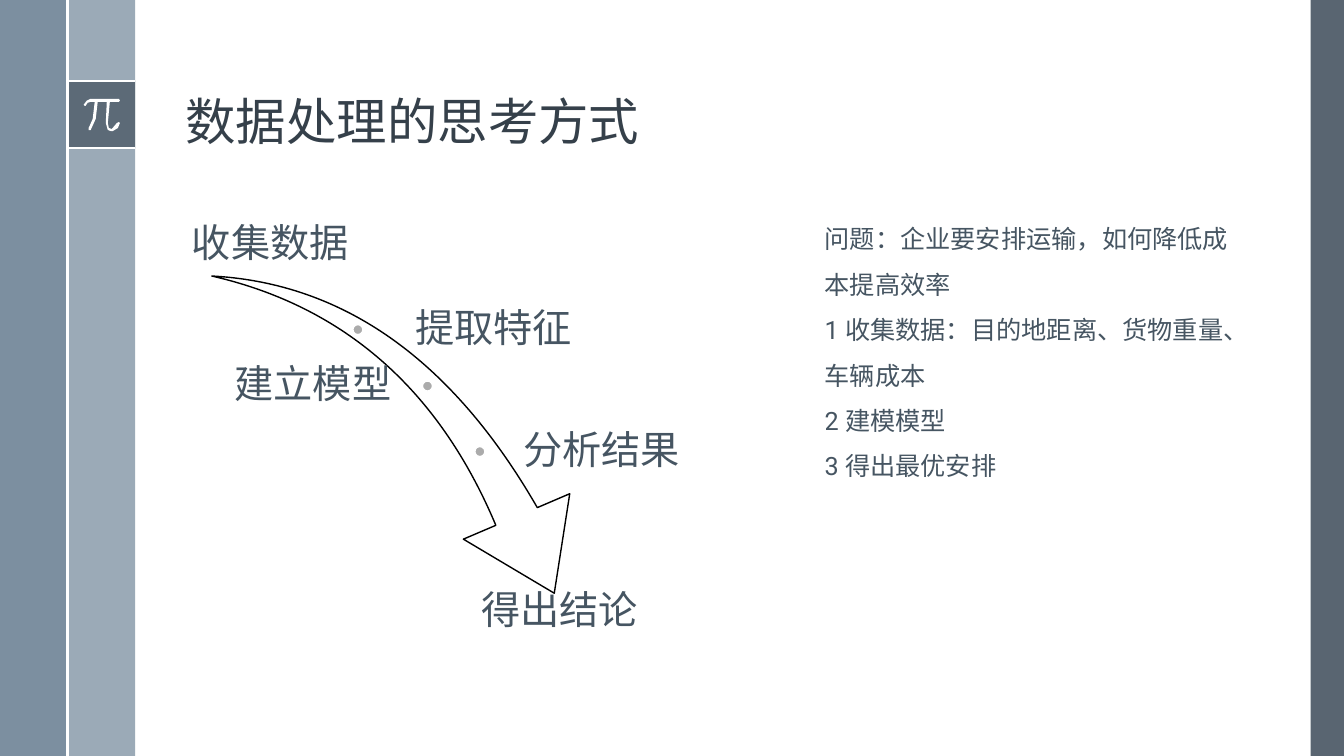
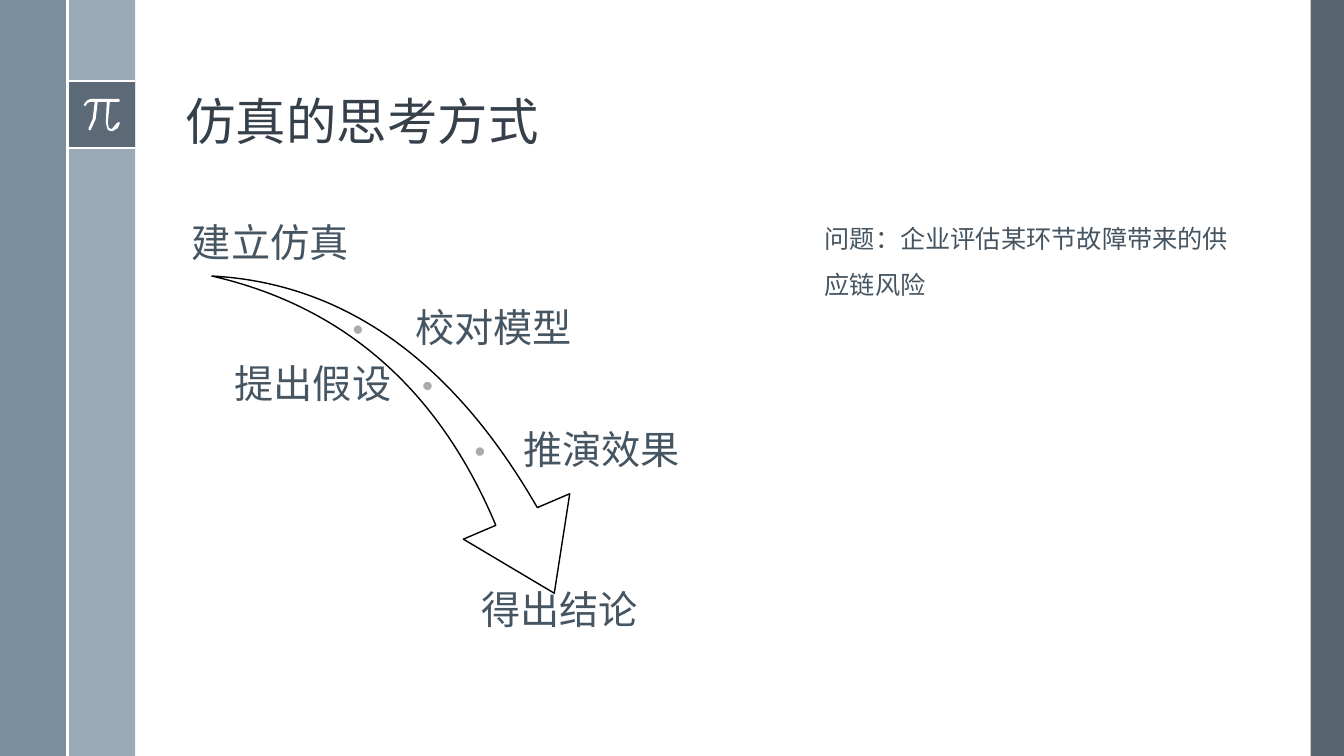
from lxml.etree import SubElement
from pptx import Presentation
from pptx.dml.color import RGBColor
from pptx.enum.lang import MSO_LANGUAGE_ID as Language
from pptx.enum.shapes import MSO_CONNECTOR as Connector, MSO_SHAPE as Shape
from pptx.enum.text import MSO_ANCHOR as Anchor, MSO_AUTO_SIZE as AutoSize, PP_ALIGN as Align
from pptx.oxml.ns import qn
from pptx.util import Inches, Pt

WHITE = RGBColor(0xFF, 0xFF, 0xFF)
BLACK = RGBColor(0x00, 0x00, 0x00)
SLATE = RGBColor(0x47, 0x55, 0x62)
STEEL = RGBColor(0x6A, 0x80, 0x93)
MIST = RGBColor(0x9B, 0xAA, 0xB7)
DOT_GRAY = RGBColor(0xAB, 0xAB, 0xAB)
TITLE_INK = RGBColor(0x35, 0x40, 0x4A)
TEXT_INK = RGBColor(0x46, 0x55, 0x62)
TITLE_FONT = "Noto Sans CJK SC"
TEXT_FONT = "Roboto"

BAND = 0.67
BADGE_TOP = 0.8
LABEL_INSET = 0.04
DOT_SIZE = 0.1
DOT_PLACES = [(3.5, 3.22), (4.19, 3.78), (4.71, 4.43)]
STEP_PLACES = [
    ((1.74, 1.94, 1.88, 0.74), Align.CENTER, Anchor.BOTTOM),
    ((4.08, 2.9, 2.74, 0.74), Align.LEFT, Anchor.MIDDLE),
    ((1.74, 3.46, 2.18, 0.74), Align.RIGHT, Anchor.MIDDLE),
    ((5.15, 4.11, 1.68, 0.74), Align.LEFT, Anchor.MIDDLE),
    ((4.28, 5.82, 2.54, 0.74), Align.CENTER, Anchor.TOP),
]
PI_OUTLINE = [
    (1.18, 0.98), (0.9, 0.98), (0.86, 1.0), (0.83, 1.04), (0.84, 1.05),
    (0.85, 1.05), (0.87, 1.02), (0.9, 1.01), (0.94, 1.01), (0.92, 1.18),
    (0.88, 1.27), (0.88, 1.29), (0.9, 1.29), (0.95, 1.18), (0.97, 1.01),
    (1.06, 1.01), (1.05, 1.22), (1.07, 1.29), (1.1, 1.3), (1.12, 1.3),
    (1.17, 1.27), (1.19, 1.22), (1.18, 1.21), (1.16, 1.22), (1.11, 1.28),
    (1.08, 1.27), (1.07, 1.22), (1.09, 1.01), (1.18, 1.01), (1.19, 1.0),
]


def emu_box(place):
    return [Inches(length) for length in place]


def write(frame, lines, size, color, font=TEXT_FONT, align=Align.LEFT,
          anchor=Anchor.TOP, spacing=0.9, inset=None, fit=AutoSize.NONE):
    frame.word_wrap = True
    frame.auto_size = fit
    frame.vertical_anchor = anchor
    if inset is not None:
        frame.margin_left = frame.margin_right = Inches(inset)
        frame.margin_top = frame.margin_bottom = Inches(inset)
    for index, line in enumerate(lines):
        paragraph = frame.add_paragraph() if index else frame.paragraphs[0]
        properties = paragraph._p.get_or_add_pPr()
        properties.set("marL", "0")
        properties.set("indent", "0")
        SubElement(properties, qn("a:buNone"))
        paragraph.alignment = align
        paragraph.line_spacing = spacing
        paragraph.space_before = Pt(0)
        run = paragraph.add_run()
        run.text = line
        run.font.size = Pt(size)
        run.font.color.rgb = color
        run.font.name = font
        run.font.language_id = Language.SIMPLIFIED_CHINESE
        SubElement(run.font._element, qn("a:ea"), typeface=font)


class Deck:
    def __init__(self):
        self.presentation = Presentation()
        self.presentation.slide_width = Inches(13.33)
        self.presentation.slide_height = Inches(7.5)
        self.layout = self.presentation.slide_layouts[1]
        self.slide = None

    def start_slide(self, title):
        first = self.slide is None
        self.slide = self.presentation.slides.add_slide(self.layout)
        if first:
            self.share_frame()
        heading = self.slide.shapes.title
        self.place(heading, (1.74, 0.19, 10.7, 1.36))
        write(heading.text_frame, [title], size=36, color=TITLE_INK,
              font=TITLE_FONT, anchor=Anchor.BOTTOM)

    def place(self, holder, place):
        holder.left, holder.top, holder.width, holder.height = emu_box(place)

    def paint(self, shape, fill, line=None, opacity=None):
        shape.shadow.inherit = False
        shape.fill.solid()
        shape.fill.fore_color.rgb = fill
        if opacity is not None:
            tint = shape._element.spPr.find(qn("a:solidFill"))[0]
            SubElement(tint, qn("a:alpha"), val=str(opacity * 1000))
        if line is None:
            shape.line.fill.background()
        else:
            shape.line.color.rgb = line
            shape.line.width = Pt(1)

    def shape(self, kind, place, fill, **style):
        shape = self.slide.shapes.add_shape(kind, *emu_box(place))
        self.paint(shape, fill, **style)
        return shape

    def rule(self, *ends):
        rule = self.slide.shapes.add_connector(Connector.STRAIGHT, *emu_box(ends))
        rule.line.color.rgb = WHITE
        rule.line.width = Pt(1.5)
        SubElement(rule._element.spPr, qn("a:effectLst"))

    def pi_symbol(self):
        start, *outline = [emu_box(point) for point in PI_OUTLINE]
        builder = self.slide.shapes.build_freeform(*start)
        builder.add_line_segments(outline, close=True)
        self.paint(builder.convert_to_shape(), WHITE)

    def share_frame(self):
        self.shape(Shape.RECTANGLE, (13, 0, 0.33, 7.5), SLATE, opacity=90)
        self.shape(Shape.RECTANGLE, (BAND, 0, BAND, 7.5), MIST)
        self.shape(Shape.RECTANGLE, (0, 0, BAND, 7.5), STEEL, opacity=88)
        self.shape(Shape.RECTANGLE, (BAND, BADGE_TOP, BAND, BAND), SLATE, opacity=75)
        for height in (BADGE_TOP, BADGE_TOP + BAND):
            self.rule(BAND, height, 2 * BAND, height)
        self.pi_symbol()
        self.rule(BAND, 0, BAND, 7.5)
        parts = [part for part in self.slide.shapes if not part.is_placeholder]
        for index, part in enumerate(parts):
            part._element.xpath(".//p:cNvPr")[0].set("id", str(100 + index))
            self.layout.shapes._spTree.insert(2 + index, part._element)

    def step_arrow(self, steps):
        arrow = self.shape(Shape.SWOOSH_ARROW, (2.01, 2.86, 3.99, 2.78), WHITE, line=BLACK)
        arrow.rotation = 73.3
        arrow.adjustments[0] = 0.16
        arrow.adjustments[1] = 0.31
        for left, top in DOT_PLACES:
            self.shape(Shape.OVAL, (left, top, DOT_SIZE, DOT_SIZE), DOT_GRAY, line=WHITE)
        for step, (place, align, anchor) in zip(steps, STEP_PLACES):
            label = self.slide.shapes.add_textbox(*emu_box(place))
            write(label.text_frame, [step], size=28, color=TEXT_INK,
                  align=align, anchor=anchor, inset=LABEL_INSET)

    def example(self, lines, height):
        body = self.slide.placeholders[1]
        self.place(body, (8.08, 2.02, 4.36, height))
        write(body.text_frame, lines, size=18, color=TEXT_INK,
              spacing=1.5, fit=AutoSize.SHAPE_TO_FIT_TEXT)


def main():
    deck = Deck()

    deck.start_slide("数据处理的思考方式")
    deck.step_arrow(["收集数据", "提取特征", "建立模型", "分析结果", "得出结论"])
    deck.example([
        "问题：企业要安排运输，如何降低成本提高效率",
        "1 收集数据：目的地距离、货物重量、车辆成本",
        "2 建模模型",
        "3 得出最优安排",
    ], height=2.77)

    deck.start_slide("仿真的思考方式")
    deck.step_arrow(["建立仿真", "校对模型", "提出假设", "推演效果", "得出结论"])
    deck.example(["问题：企业评估某环节故障带来的供应链风险"], height=0.95)

    deck.presentation.save("out.pptx")


if __name__ == "__main__":
    main()
